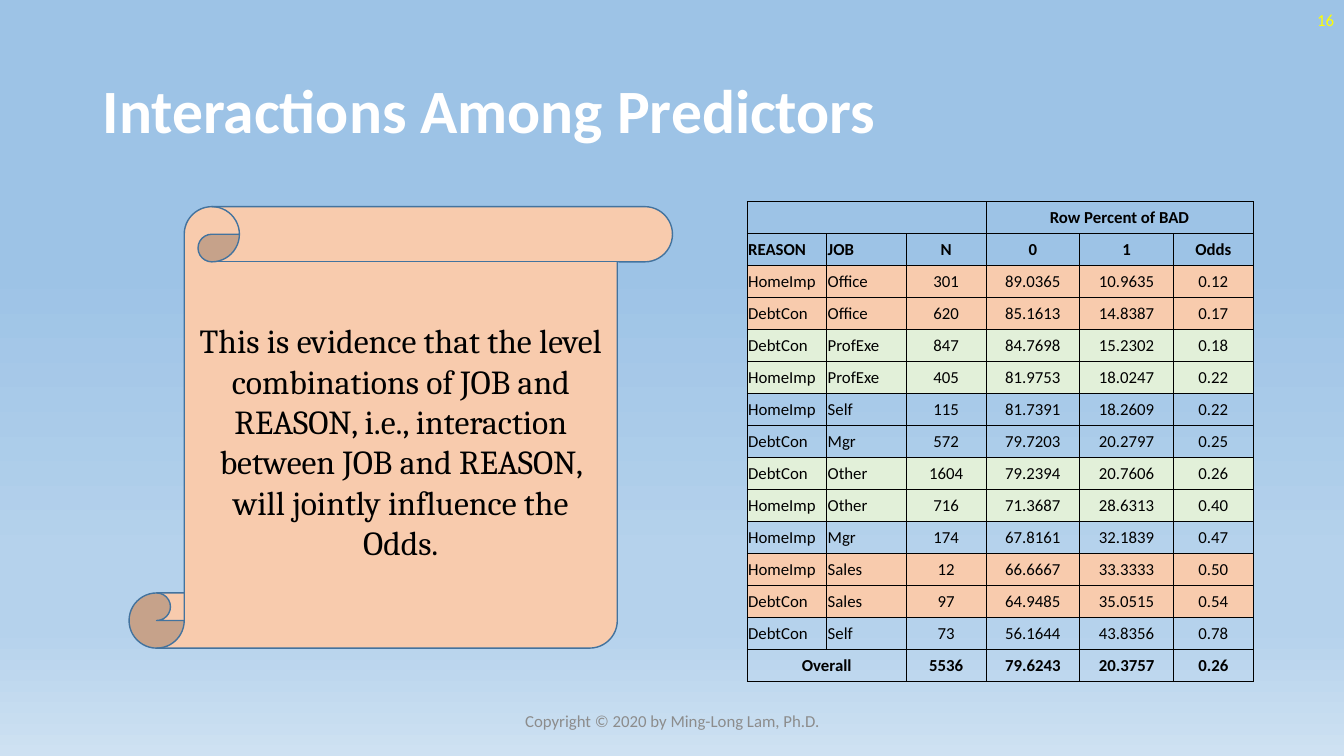
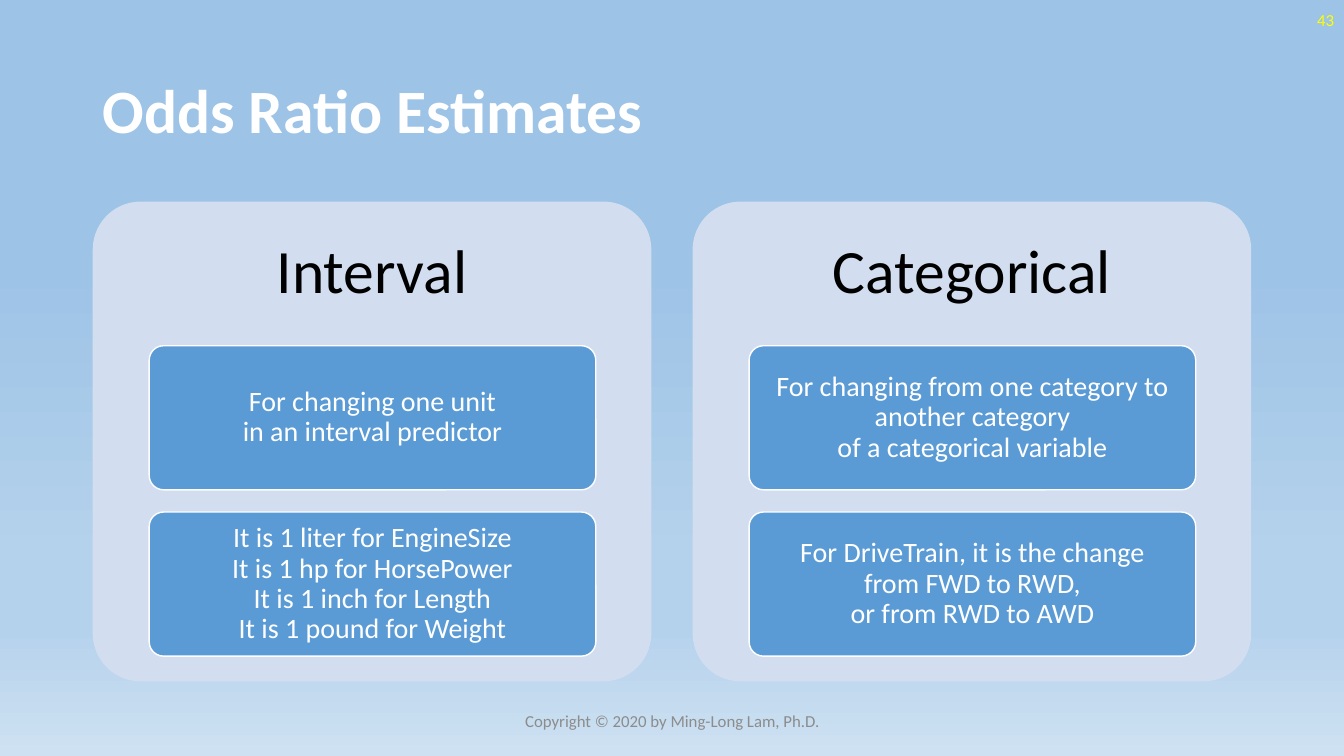
"""Build two lecture slides on predictor interactions and odds ratios."""
from dataclasses import dataclass

from lxml.etree import SubElement
from pptx import Presentation
from pptx.dml.color import RGBColor as Rgb
from pptx.enum.shapes import MSO_SHAPE as Shape
from pptx.enum.text import MSO_ANCHOR as Anchor, PP_ALIGN as Align
from pptx.oxml.ns import qn
from pptx.util import Inches, Pt


@dataclass(frozen=True)
class Theme:
    sky: tuple = ((35, "9DC3E6"), (74, "B5D2EC"), (83, "B5D2EC"), (100, "CEE1F2"))
    white: str = "FFFFFF"
    black: str = "000000"
    yellow: str = "FFFF00"
    grey: str = "8C8C8C"
    peach: str = "F8CBAD"
    mint: str = "E2F0D9"
    scroll_line: str = "43739E"
    panel: str = "D2DEEF"
    card: str = "5B9BD5"
    font: str = "Calibri"
    serif: str = "Cambria"
    title_size: int = 44
    quote_size: int = 24
    card_size: int = 20
    small_size: int = 12


theme = Theme()


def write(frame, paragraphs, size, color, align=Align.CENTER, bold=False,
          font=theme.font, spacing=1.0):
    frame.word_wrap = True
    frame.vertical_anchor = Anchor.MIDDLE
    for index, text in enumerate(paragraphs):
        para = frame.add_paragraph() if index else frame.paragraphs[0]
        para.alignment = align
        para.line_spacing = spacing
        for number, line in enumerate(text.split("\n")):
            if number:
                para.add_line_break()
            span = para.add_run()
            span.text = line
            span.font.name = font
            span.font.size = Pt(size)
            span.font.bold = bold
            span.font.color.rgb = Rgb.from_string(color)


def add_block(page, kind, place, fill, line=None):
    block = page.shapes.add_shape(kind, *map(Inches, place))
    block.shadow.inherit = False
    block.fill.solid()
    block.fill.fore_color.rgb = Rgb.from_string(fill)
    if line:
        block.line.color.rgb = Rgb.from_string(line)
        block.line.width = Pt(1)
    else:
        block.line.fill.background()
    return block


deck = Presentation()
deck.slide_width, deck.slide_height = Inches(13.33), Inches(7.5)

sky = deck.slide_master.background.fill
sky.gradient()
sky.gradient_angle = 270
stops = deck.slide_master.element.find(".//" + qn("a:gsLst"))
stops.clear()
for position, color in theme.sky:
    stop = SubElement(stops, qn("a:gs"), pos=str(position * 1000))
    SubElement(stop, qn("a:srgbClr"), val=color)

pages = []
for title, number in (("Interactions Among Predictors", "16"), ("Odds Ratio Estimates", "43")):
    page = deck.slides.add_slide(deck.slide_layouts[6])
    pages.append(page)
    for text, place, size, color, align, bold, spacing in (
        (title, (0.92, 0.4, 11.5, 1.45), theme.title_size, theme.white, Align.LEFT, True, 0.9),
        (number, (10.33, 0, 3, 0.4), theme.small_size, theme.yellow, Align.RIGHT, False, 1.0),
        ("Copyright © 2020 by Ming-Long Lam, Ph.D.", (4.42, 6.95, 4.5, 0.4),
         theme.small_size, theme.grey, Align.CENTER, False, 1.0),
    ):
        box = page.shapes.add_textbox(*map(Inches, place))
        write(box.text_frame, [text], size, color, align, bold, spacing=spacing)
interactions, estimates = pages

scroll = add_block(interactions, Shape.VERTICAL_SCROLL, (1.28, 2.05, 5.39, 4.38),
                   theme.peach, theme.scroll_line)
write(scroll.text_frame,
      ["This is evidence that the level combinations of JOB and REASON, i.e., interaction "
       "between JOB and REASON, will jointly influence the Odds."],
      theme.quote_size, theme.black, font=theme.serif)

odds_rows = (
    ("", "", "", "Row Percent of BAD", "", ""),
    ("REASON", "JOB", "N", "0", "1", "Odds"),
    ("HomeImp", "Office", "301", "89.0365", "10.9635", "0.12"),
    ("DebtCon", "Office", "620", "85.1613", "14.8387", "0.17"),
    ("DebtCon", "ProfExe", "847", "84.7698", "15.2302", "0.18"),
    ("HomeImp", "ProfExe", "405", "81.9753", "18.0247", "0.22"),
    ("HomeImp", "Self", "115", "81.7391", "18.2609", "0.22"),
    ("DebtCon", "Mgr", "572", "79.7203", "20.2797", "0.25"),
    ("DebtCon", "Other", "1604", "79.2394", "20.7606", "0.26"),
    ("HomeImp", "Other", "716", "71.3687", "28.6313", "0.40"),
    ("HomeImp", "Mgr", "174", "67.8161", "32.1839", "0.47"),
    ("HomeImp", "Sales", "12", "66.6667", "33.3333", "0.50"),
    ("DebtCon", "Sales", "97", "64.9485", "35.0515", "0.54"),
    ("DebtCon", "Self", "73", "56.1644", "43.8356", "0.78"),
    ("Overall", "", "5536", "79.6243", "20.3757", "0.26"),
)
job_fills = {"Office": theme.peach, "Sales": theme.peach,
             "ProfExe": theme.mint, "Other": theme.mint}
column_widths = (0.79, 0.79, 0.79, 0.93, 0.93, 0.79)
last = len(odds_rows) - 1

table = interactions.shapes.add_table(
    len(odds_rows), len(column_widths), Inches(7.41), Inches(2),
    Inches(sum(column_widths)), Inches(4.76)).table
table.first_row = table.horz_banding = False
for column, width in zip(table.columns, column_widths):
    column.width = Inches(width)

for row_index, values in enumerate(odds_rows):
    table.rows[row_index].height = Inches(4.76 / len(odds_rows))
    heading = row_index in (0, 1, last)
    for column_index, value in enumerate(values):
        cell = table.cell(row_index, column_index)
        cell.margin_left = cell.margin_right = cell.margin_top = Inches(0.01)
        cell.margin_bottom = 0
        cell.vertical_anchor = Anchor.MIDDLE
        properties = cell._tc.get_or_add_tcPr()
        for side in ("a:lnL", "a:lnR", "a:lnT", "a:lnB"):
            border = SubElement(properties, qn(side), w=str(Pt(0.5)))
            SubElement(SubElement(border, qn("a:solidFill")), qn("a:srgbClr"), val=theme.black)
        if values[1] in job_fills:
            cell.fill.solid()
            cell.fill.fore_color.rgb = Rgb.from_string(job_fills[values[1]])
        else:
            cell.fill.background()
        if value:
            label = column_index < 2 and row_index != last
            write(cell.text_frame, [value], theme.small_size, theme.black,
                  Align.LEFT if label else Align.CENTER, heading)
        else:
            cell.text_frame.paragraphs[0].font.size = Pt(theme.small_size)

for row_index, first, final in ((0, 0, 2), (0, 3, 5), (last, 0, 1)):
    table.cell(row_index, first).merge(table.cell(row_index, final))

panels = (
    ("Interval", (
        ["For changing one unit\nin an interval predictor"],
        ["It is 1 liter for EngineSize", "It is 1 hp for HorsePower",
         "It is 1 inch for Length", "It is 1 pound for Weight"])),
    ("Categorical", (
        ["For changing from one category to another category\nof a categorical variable"],
        ["For DriveTrain, it is the change\nfrom FWD to RWD,\nor from RWD to AWD"])),
)
for panel_index, (heading, cards) in enumerate(panels):
    left = 0.92 + panel_index * 5.95
    panel = add_block(estimates, Shape.ROUNDED_RECTANGLE, (left, 2, 5.54, 4.76), theme.panel)
    panel.adjustments[0] = 0.1
    box = estimates.shapes.add_textbox(*map(Inches, (left, 2, 5.54, 1.43)))
    write(box.text_frame, [heading], theme.title_size, theme.black, spacing=0.9)
    for card_index, paragraphs in enumerate(cards):
        card = add_block(estimates, Shape.ROUNDED_RECTANGLE,
                         (left + 0.56, 3.43 + card_index * 1.65, 4.43, 1.43),
                         theme.card, theme.white)
        card.adjustments[0] = 0.1
        frame = card.text_frame
        frame.margin_left = frame.margin_right = Inches(0.06)
        frame.margin_top = frame.margin_bottom = Inches(0.04)
        write(frame, paragraphs, theme.card_size, theme.white, spacing=0.9)

deck.save("out.pptx")
